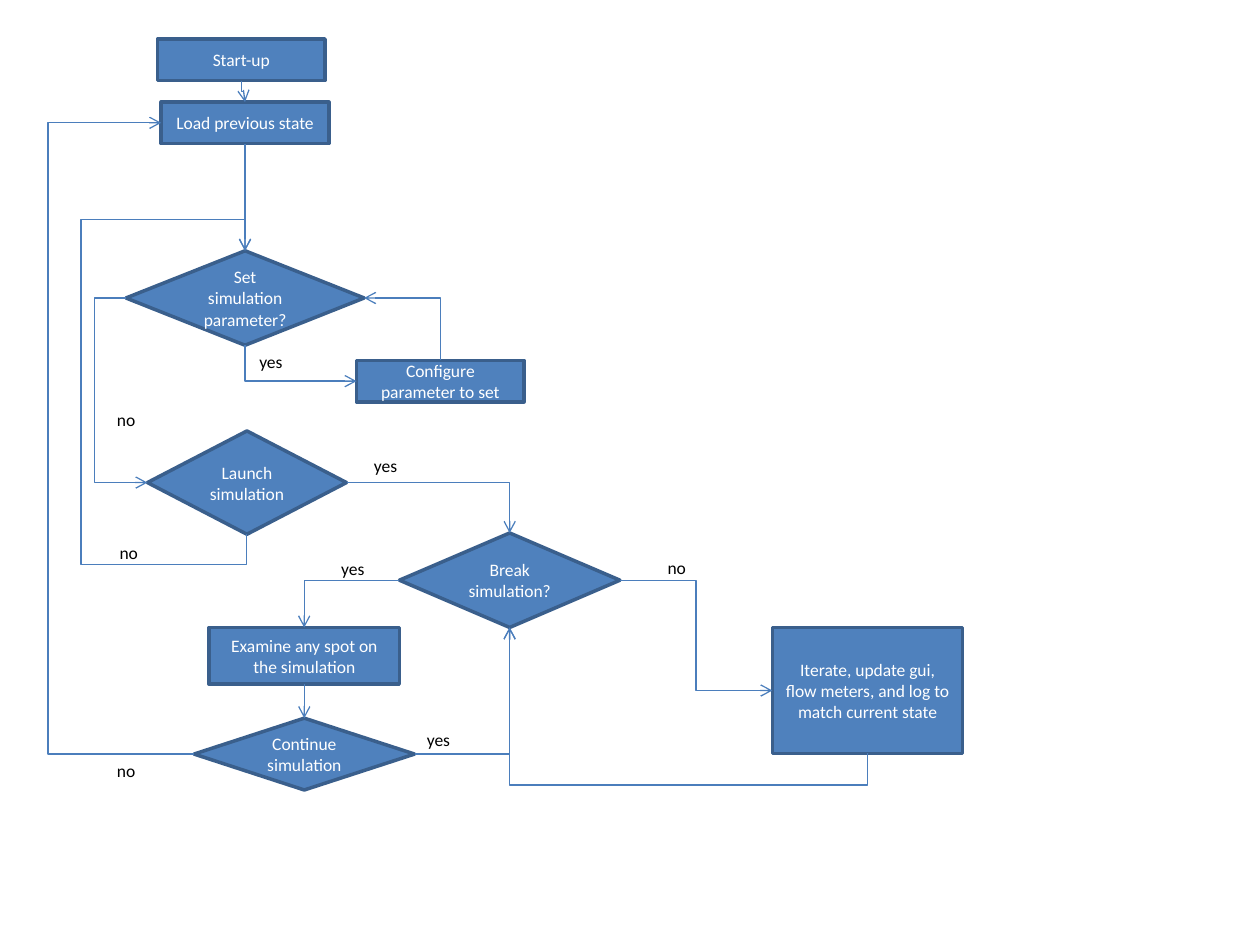
from dataclasses import dataclass

from lxml import etree
from pptx import Presentation
from pptx.dml.color import RGBColor
from pptx.enum.shapes import MSO_CONNECTOR, MSO_SHAPE
from pptx.enum.text import MSO_ANCHOR, MSO_AUTO_SIZE, PP_ALIGN
from pptx.oxml.ns import qn
from pptx.util import Inches, Pt


@dataclass(frozen=True)
class Theme:
    """Colours, font and sizes of the flowchart."""
    fill: RGBColor = RGBColor(0x4F, 0x81, 0xBD)
    outline: RGBColor = RGBColor(0x3A, 0x5F, 0x8C)
    arrow: RGBColor = RGBColor(0x4B, 0x7E, 0xBC)
    node_text: RGBColor = RGBColor(0xFF, 0xFF, 0xFF)
    label_text: RGBColor = RGBColor(0, 0, 0)
    font: str = "+mn-lt"  # body font of the presentation theme
    text_size: float = 10
    outline_width: float = 2
    arrow_width: float = 0.75


THEME = Theme()
TOP, LEFT, BOTTOM, RIGHT = range(4)
RECT, DECISION, DIAMOND = (
    MSO_SHAPE.RECTANGLE, MSO_SHAPE.FLOWCHART_DECISION, MSO_SHAPE.DIAMOND)

# name: (shape, left, top, width, height, text)
NODES = {
    "start": (RECT, 1.25, 0.31, 1.33, 0.33, "Start-up"),
    "load": (RECT, 1.28, 0.81, 1.33, 0.33, "Load previous state"),
    "set": (DECISION, 1, 1.99, 1.89, 0.75, "Set simulation parameter?"),
    "configure": (RECT, 2.83, 2.86, 1.33, 0.33, "Configure parameter to set"),
    "launch": (DECISION, 1.17, 3.42, 1.58, 0.82, "Launch simulation"),
    "break": (DIAMOND, 3.17, 4.23, 1.75, 0.75, "Break simulation?"),
    "iterate": (RECT, 6.13, 4.98, 1.51, 1,
                "Iterate, update gui, flow meters, and log to match current state"),
    "continue": (DIAMOND, 1.54, 5.7, 1.75, 0.57, "Continue simulation"),
    "examine": (RECT, 1.66, 4.98, 1.51, 0.45,
                "Examine any spot on the simulation"),
}

# source, side, target, side, lanes (positions of the middle segments)
ARROWS = [
    ("start", BOTTOM, "load", TOP, ()),
    ("load", BOTTOM, "set", TOP, ()),
    ("set", BOTTOM, "configure", LEFT, ()),
    ("configure", TOP, "set", RIGHT, ()),
    ("set", LEFT, "launch", LEFT, (0.75,)),
    ("launch", BOTTOM, "set", TOP, (4.48, 0.64, 1.74)),
    ("launch", RIGHT, "break", TOP, ()),
    ("break", RIGHT, "iterate", LEFT, ()),
    ("iterate", BOTTOM, "break", BOTTOM, (6.23,)),
    ("break", LEFT, "examine", TOP, ()),
    ("continue", RIGHT, "break", BOTTOM, ()),
    ("examine", BOTTOM, "continue", TOP, ()),
    ("continue", LEFT, "load", LEFT, (0.38,)),
]

# left, top, width, text
LABELS = [
    (1.96, 2.74, 0.79, "yes"),
    (0.83, 3.2, 0.44, "no"),
    (0.85, 4.25, 0.79, "no"),
    (5.2, 4.37, 0.72, "no"),
    (2.61, 4.38, 0.56, "yes"),
    (3.29, 5.74, 0.56, "yes"),
    (0.83, 5.98, 0.72, "no"),
    (2.87, 3.56, 0.56, "yes"),
]


def write(frame, text, color, align):
    """Put one formatted paragraph into a text frame."""
    frame.word_wrap = True
    paragraph = frame.paragraphs[0]
    paragraph.alignment = align
    run = paragraph.add_run()
    run.text = text
    run.font.name = THEME.font
    run.font.size = Pt(THEME.text_size)
    run.font.color.rgb = color


def add_node(slide, kind, left, top, width, height, text):
    """Add a step or a decision and return its shape."""
    node = slide.shapes.add_shape(kind, *map(Inches, (left, top, width, height)))
    node.shadow.inherit = False
    node.fill.solid()
    node.fill.fore_color.rgb = THEME.fill
    node.line.color.rgb = THEME.outline
    node.line.width = Pt(THEME.outline_width)
    node.text_frame.vertical_anchor = MSO_ANCHOR.MIDDLE
    write(node.text_frame, text, THEME.node_text, PP_ALIGN.CENTER)
    return node


def add_label(slide, left, top, width, text):
    """Add the answer beside an arrow."""
    box = slide.shapes.add_textbox(*map(Inches, (left, top, width, 0.27)))
    write(box.text_frame, text, THEME.label_text, PP_ALIGN.LEFT)
    box.text_frame.auto_size = MSO_AUTO_SIZE.SHAPE_TO_FIT_TEXT


def site(node, side):
    """Return the middle of one side of a node."""
    x, y = node.left + node.width // 2, node.top + node.height // 2
    return {TOP: (x, node.top), LEFT: (node.left, y),
            BOTTOM: (x, node.top + node.height),
            RIGHT: (node.left + node.width, y)}[side]


def bend(connector, start, end, vertical, bends, lanes):
    """Set the frame, turn and lane positions of an elbow connector."""
    dx, dy = end[0] - start[0], end[1] - start[1]
    width, height = abs(dx), abs(dy)
    turn, flip_h, flip_v = 0, dx < 0, dy < 0
    if vertical:
        width, height = height, width
        turn = 270 if dx > 0 else 90
        flip_h, flip_v = (dy > 0) == (turn == 270), False
    connector.left = (start[0] + end[0] - width) // 2
    connector.top = (start[1] + end[1] - height) // 2
    connector.width, connector.height = width, height

    properties = connector.element.spPr
    frame = properties.find(qn("a:xfrm"))
    for key, value in (("rot", turn * 60000), ("flipH", int(flip_h)),
                       ("flipV", int(flip_v))):
        frame.set(key, str(value))
    geometry = properties.find(qn("a:prstGeom"))
    geometry.set("prst", f"bentConnector{bends + 1}")
    guides = geometry.find(qn("a:avLst"))
    for index, lane in enumerate(lanes):
        axis = (index + vertical) % 2
        share = (Inches(lane) - start[axis]) / (end[axis] - start[axis])
        etree.SubElement(guides, qn("a:gd"), name=f"adj{index + 1}",
                         fmla=f"val {round(share * 100000)}")


def add_arrow(slide, source, source_side, target, target_side, lanes):
    """Connect two nodes with an elbow arrow."""
    start, end = site(source, source_side), site(target, target_side)
    connector = slide.shapes.add_connector(MSO_CONNECTOR.ELBOW, *start, *end)
    connector.begin_connect(source, source_side)
    connector.end_connect(target, target_side)
    vertical = source_side in (TOP, BOTTOM)
    same_axis = vertical == (target_side in (TOP, BOTTOM))
    bends = max(2, len(lanes) + 1) if same_axis else 1
    bend(connector, start, end, vertical, bends, lanes)
    connector.line.color.rgb = THEME.arrow
    connector.line.width = Pt(THEME.arrow_width)
    properties = connector.element.spPr
    etree.SubElement(properties.find(qn("a:ln")), qn("a:tailEnd"), type="arrow")
    etree.SubElement(properties, qn("a:effectLst"))


def main():
    """Build the flowchart slide."""
    deck = Presentation()
    deck.slide_width, deck.slide_height = Inches(10), Inches(7.5)
    slide = deck.slides.add_slide(deck.slide_layouts[6])
    nodes = {name: add_node(slide, *spec) for name, spec in NODES.items()}
    for source, source_side, target, target_side, lanes in ARROWS:
        add_arrow(slide, nodes[source], source_side,
                  nodes[target], target_side, lanes)
    for label in LABELS:
        add_label(slide, *label)
    deck.save("out.pptx")


main()
